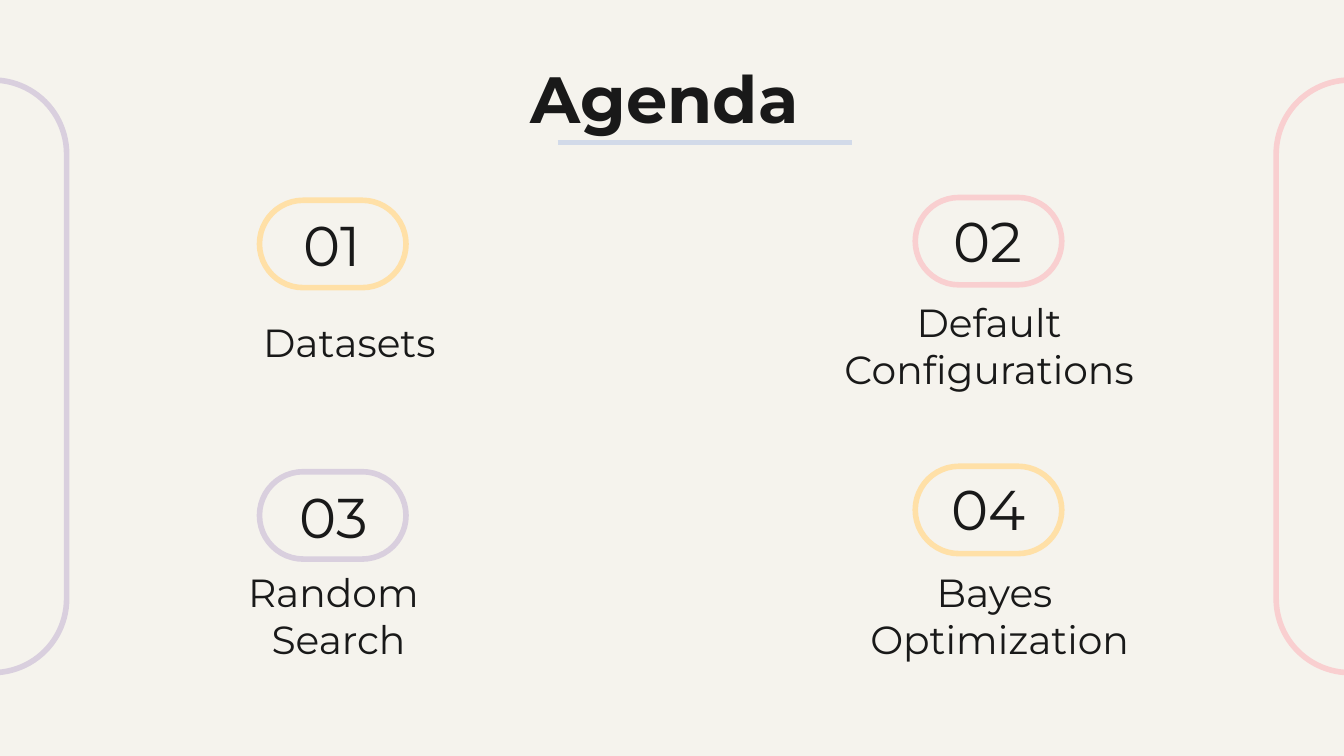
from pptx import Presentation
from pptx.dml.color import RGBColor
from pptx.enum import shapes, text
from pptx.oxml.ns import qn
from pptx.util import Pt
from lxml import etree

THEME = {
    "bg": "F5F3ED", "ink": "191919", "yellow": "FFE0A7", "pink": "F9CFD0",
    "lilac": "D9CFDE", "blue": "D2DAE9",
    "font": "Montserrat", "title": 35, "number": 30, "label": 21,
    "line": 3, "inset": 7.2,
}
TITLE = "Agenda"
# number, label lines, colour, then left/top of pill, number and label
ITEMS = [
    ("01", ["Datasets"], "yellow", (139, 107.3), (150.5, 105.8), (75.6, 161.3)),
    ("02", ["Default Configurations"], "pink", (490.3, 105.8), (501.8, 103.7), (418.3, 175.7)),
    ("03", ["Random", " Search"], "lilac", (139, 252.7), (151.2, 251.3), (67, 320.4)),
    ("04", ["Bayes", " Optimization"], "yellow", (490.3, 249.8), (501.8, 247), (421.2, 320.4)),
]
PILL, NUMBER, LABEL = (78.5, 46.8), (55.4, 46.8), (223.2, 41.8)
SIDE_PILL = (317.5, 79.2)
SIDES = [("lilac", -162.7), ("pink", 564.5)]


def colour(name):
    return RGBColor.from_string(THEME[name])


def add_pill(s, pos, size, name, rotation=0):
    sp = s.shapes.add_shape(shapes.MSO_SHAPE.ROUNDED_RECTANGLE,
                            *map(Pt, pos + size))
    sp.adjustments[0] = 0.5
    sp.rotation = rotation
    sp.shadow.inherit = False
    sp.fill.background()
    sp.line.color.rgb = colour(name)
    sp.line.width = Pt(THEME["line"])


def add_text(s, pos, size, lines, style, anchor=text.MSO_ANCHOR.TOP, bold=False):
    tf = s.shapes.add_textbox(*map(Pt, pos + size)).text_frame
    tf.word_wrap = True
    tf.vertical_anchor = anchor
    tf.margin_left = tf.margin_right = Pt(THEME["inset"])
    tf.margin_top = tf.margin_bottom = Pt(THEME["inset"])
    p = tf.paragraphs[0]
    p.alignment = text.PP_ALIGN.CENTER
    for i, line in enumerate(lines):
        if i:
            p.add_line_break()
        r = p.add_run()
        r.text = line
        r.font.name = THEME["font"]
        r.font.size = Pt(THEME[style])
        r.font.bold = bold
        r.font.color.rgb = colour("ink")


def add_rule(s, x1, x2, y):
    line = s.shapes.add_connector(shapes.MSO_CONNECTOR.STRAIGHT,
                                  Pt(x1), Pt(y), Pt(x2), Pt(y))
    line.line.color.rgb = colour("blue")
    line.line.width = Pt(THEME["line"])
    etree.SubElement(line._element.spPr, qn("a:effectLst"))


def main():
    prs = Presentation()
    prs.slide_width, prs.slide_height = Pt(720), Pt(405)
    s = prs.slides.add_slide(prs.slide_layouts[6])
    s.background.fill.solid()
    s.background.fill.fore_color.rgb = colour("bg")

    for name, left in SIDES:
        add_pill(s, (left, 162), SIDE_PILL, name, rotation=90)
    add_text(s, (52.6, 23.8), (607, 45.4), [TITLE], "title", bold=True)
    add_rule(s, 298.8, 456.5, 76.3)
    for number, label, name, pill_at, number_at, label_at in ITEMS:
        add_pill(s, pill_at, PILL, name)
        add_text(s, number_at, NUMBER, [number], "number")
        add_text(s, label_at, LABEL, label, "label", text.MSO_ANCHOR.BOTTOM)
    prs.save("out.pptx")


if __name__ == "__main__":
    main()
